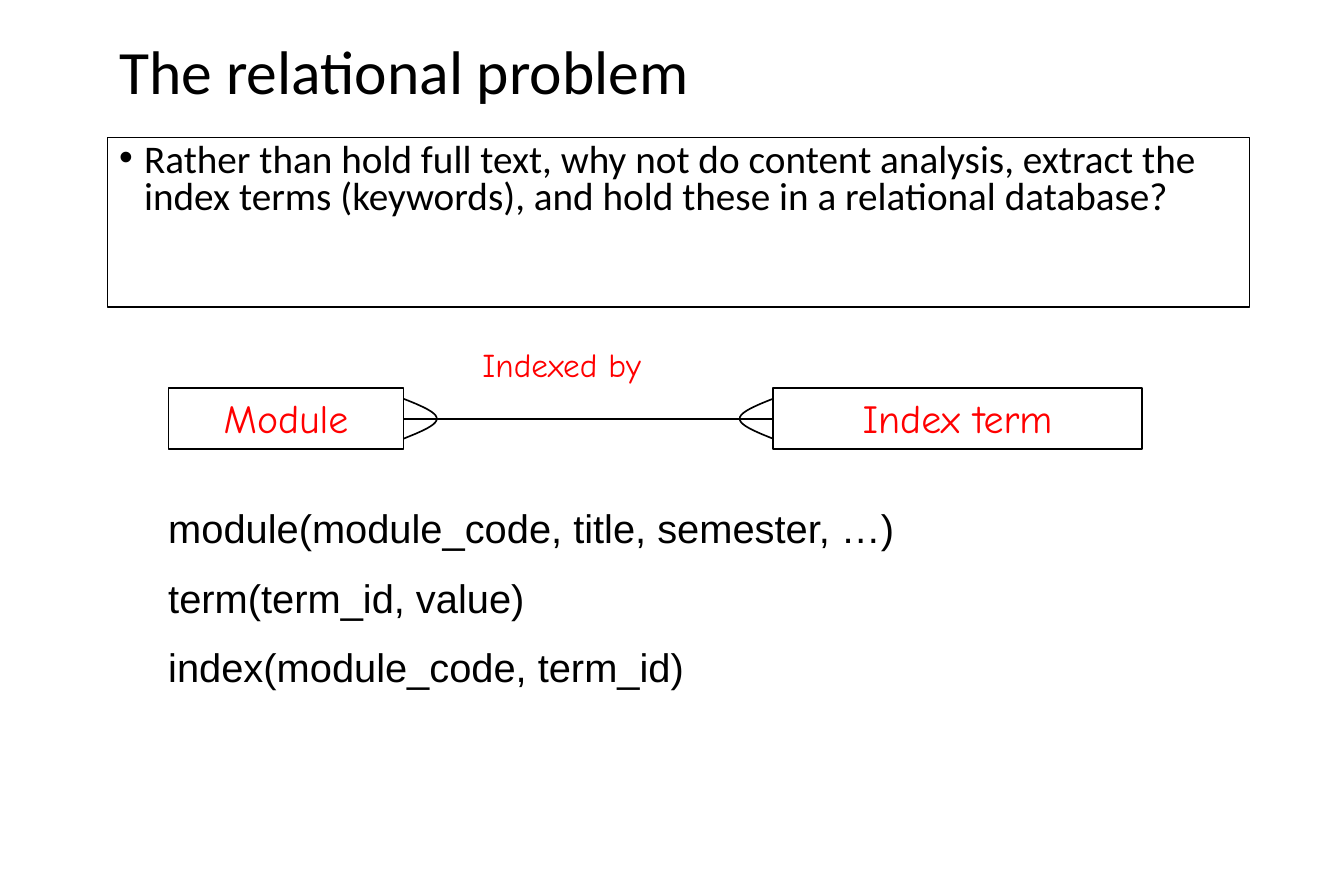
from dataclasses import dataclass

from lxml.etree import SubElement
from pptx import Presentation
from pptx.dml.color import RGBColor
from pptx.enum.shapes import MSO_CONNECTOR, MSO_SHAPE
from pptx.enum.text import MSO_ANCHOR, MSO_AUTO_SIZE, PP_ALIGN
from pptx.oxml.ns import qn
from pptx.util import Pt

TITLE = "The relational problem"
QUESTION = ("Rather than hold full text, why not do content analysis, extract the "
            "index terms (keywords), and hold these in a relational database?")
ENTITIES = [  # name, left, width
    ("Module", 101.5, 141.8),
    ("Index term", 465.8, 222.5),
]
RELATIONSHIP = "Indexed by"
RELATIONS = [
    "module(module_code, title, semester, …)",
    "term(term_id, value)",
    "index(module_code, term_id)",
]

CONTENT_LEFT, CONTENT_WIDTH = 64.8, 688.3
ENTITY_TOP, ENTITY_HEIGHT = 234, 36.7
FOOT_DEPTH, FOOT_HALF_HEIGHT, FOOT_STEPS = 20, 12, 24


@dataclass(frozen=True)
class Theme:
    ink: RGBColor = RGBColor(0, 0, 0)
    paper: RGBColor = RGBColor(255, 255, 255)
    accent: RGBColor = RGBColor(255, 0, 0)
    heading_font: str = "Calibri"
    diagram_font: str = "Comic Neue"
    schema_font: str = "Arial"
    title_size: float = 37.1
    question_size: float = 23.6
    text_size: float = 24
    label_size: float = 20
    thin: float = 0.75
    stroke: float = 1


THEME = Theme()


def box(left, top, width, height):
    return [Pt(length) for length in (left, top, width, height)]


def write(shape, text, font, size, color, align=PP_ALIGN.LEFT, anchor=MSO_ANCHOR.TOP):
    frame = shape.text_frame
    frame.text = text
    frame.word_wrap = True
    frame.auto_size = MSO_AUTO_SIZE.NONE
    frame.vertical_anchor = anchor
    for paragraph in frame.paragraphs:
        paragraph.alignment = align
        for run in paragraph.runs:
            run.font.name = font
            run.font.size = Pt(size)
            run.font.color.rgb = color
    return frame.paragraphs


def outline(shape, width):
    shape.shadow.inherit = False
    shape.fill.background()
    shape.line.color.rgb = THEME.ink
    shape.line.width = Pt(width)


def add_title(slide):
    title = slide.shapes.title
    title.left, title.top, title.width, title.height = box(
        CONTENT_LEFT, 0, CONTENT_WIDTH, 90)
    heading, = write(title, TITLE, THEME.heading_font, THEME.title_size, THEME.ink,
                     anchor=MSO_ANCHOR.MIDDLE)
    heading.line_spacing = 0.9


def add_question(slide):
    question = slide.shapes.add_shape(
        MSO_SHAPE.RECTANGLE, *box(CONTENT_LEFT, 82.8, CONTENT_WIDTH, 102.2))
    outline(question, THEME.thin)
    question.fill.solid()
    question.fill.fore_color.rgb = THEME.paper
    bullet, = write(question, QUESTION, THEME.heading_font, THEME.question_size, THEME.ink)
    bullet.line_spacing = 0.8
    properties = bullet._p.get_or_add_pPr()
    properties.set("marL", str(Pt(15)))
    properties.set("indent", str(Pt(-15)))
    SubElement(properties, qn("a:buFont"), typeface=THEME.schema_font)
    SubElement(properties, qn("a:buChar"), char="•")


def add_entity(slide, name, left, width):
    entity = slide.shapes.add_shape(
        MSO_SHAPE.RECTANGLE, *box(left, ENTITY_TOP, width, ENTITY_HEIGHT))
    outline(entity, THEME.stroke)
    write(entity, name, THEME.diagram_font, THEME.text_size, THEME.accent, PP_ALIGN.CENTER)
    return entity


def add_link(slide, source, target):
    link = slide.shapes.add_connector(MSO_CONNECTOR.STRAIGHT, 0, 0, 0, 0)
    link.begin_connect(source, 3)
    link.end_connect(target, 1)
    link.line.color.rgb = THEME.ink
    link.line.width = Pt(THEME.stroke)
    SubElement(link._element.spPr, qn("a:effectLst"))


def add_crow_foot(slide, side, direction):
    """Draw the curved "many" end at x = side, bulging right (1) or left (-1)."""
    middle = ENTITY_TOP + ENTITY_HEIGHT / 2
    points = []
    for step in range(FOOT_STEPS + 1):
        offset = 1 - 2 * step / FOOT_STEPS
        t = 1 - abs(offset)
        bulge = FOOT_DEPTH * (1.5 * t - 0.5 * t ** 3)
        points.append((Pt(side + direction * bulge),
                       Pt(middle + FOOT_HALF_HEIGHT * offset)))
    builder = slide.shapes.build_freeform(*points[0])
    builder.add_line_segments(points[1:], close=False)
    outline(builder.convert_to_shape(), THEME.stroke)


def add_diagram(slide):
    module, index_term = [add_entity(slide, *entity) for entity in ENTITIES]
    add_link(slide, module, index_term)
    (_, module_left, module_width), (_, term_left, _) = ENTITIES
    add_crow_foot(slide, module_left + module_width, 1)
    add_crow_foot(slide, term_left, -1)
    label = slide.shapes.add_textbox(*box(283.7, 203.8, 236, 31))
    write(label, RELATIONSHIP, THEME.diagram_font, THEME.label_size, THEME.accent)


def add_relations(slide):
    relations = slide.shapes.add_textbox(*box(94.3, 300.2, 533.5, 123.8))
    lines = write(relations, "\n".join(RELATIONS), THEME.schema_font,
                  THEME.text_size, THEME.ink)
    for line in lines[1:]:
        line.space_before = Pt(13)


def main():
    presentation = Presentation()
    presentation.slide_width, presentation.slide_height = Pt(810), Pt(540)
    slide = presentation.slides.add_slide(presentation.slide_layouts.get_by_name("Title Only"))
    add_title(slide)
    add_question(slide)
    add_diagram(slide)
    add_relations(slide)
    presentation.save("out.pptx")


if __name__ == "__main__":
    main()
